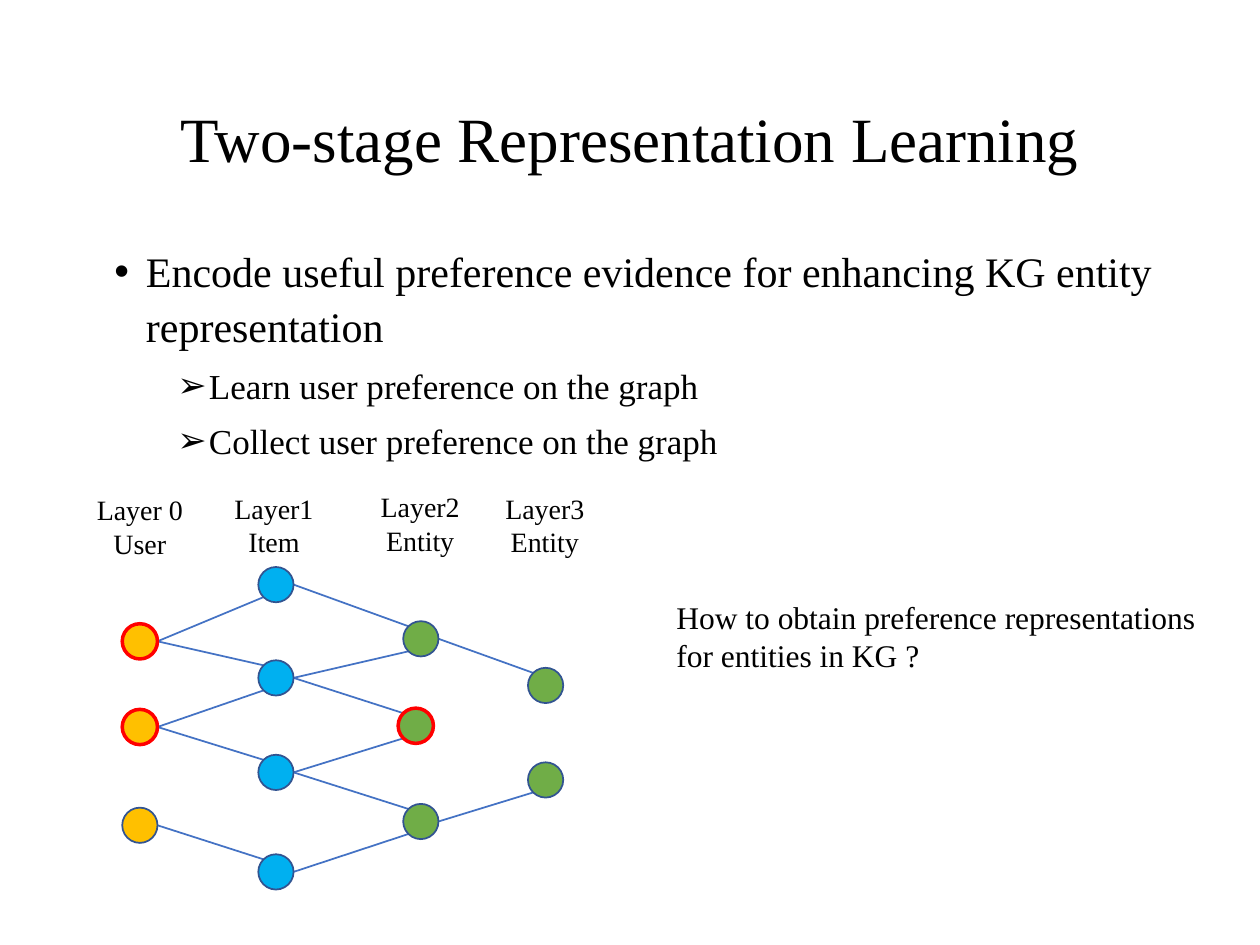
from dataclasses import dataclass

import pptx
import pptx.dml.color
import pptx.enum.shapes
import pptx.enum.text
import pptx.oxml.ns
import pptx.util
from lxml import etree

ALIGN = pptx.enum.text.PP_ALIGN
ANCHOR = pptx.enum.text.MSO_ANCHOR


@dataclass(frozen=True)
class Theme:
    font: str = "Times New Roman"
    text: str = "000000"
    edge: str = "4472C4"
    outline: str = "325491"
    highlight: str = "FF0000"
    user: str = "FFC000"
    item: str = "00B0F0"
    entity: str = "70AD47"
    title_size: int = 36
    bullet_size: int = 24
    detail_size: int = 20
    note_size: int = 18
    label_size: int = 16
    line_width: int = 1
    highlight_width: int = 2


class SlideBuilder:
    COLUMNS = 100
    ROWS = 75
    DIAMETER = 2.8
    DIAGONAL_INSET = 0.4

    def __init__(self, presentation, theme):
        self.theme = theme
        self.slide = presentation.slides.add_slide(presentation.slide_layouts[6])
        self.column = presentation.slide_width / self.COLUMNS
        self.row = presentation.slide_height / self.ROWS

    def place(self, left, top, width, height):
        return (round(left * self.column), round(top * self.row),
                round(width * self.column), round(height * self.row))

    def color(self, value):
        return pptx.dml.color.RGBColor.from_string(value)

    def style(self, paragraph, size, align=ALIGN.LEFT):
        paragraph.alignment = align
        for run in paragraph.runs:
            run.font.name = self.theme.font
            run.font.size = pptx.util.Pt(size)
            run.font.color.rgb = self.color(self.theme.text)

    def text(self, area, content, size, align=ALIGN.LEFT, anchor=ANCHOR.TOP, spacing=1):
        shape = self.slide.shapes.add_textbox(*self.place(*area))
        frame = shape.text_frame
        frame.word_wrap = True
        frame.vertical_anchor = anchor
        frame.text = content
        for paragraph in frame.paragraphs:
            paragraph.line_spacing = spacing
            self.style(paragraph, size, align)
        return frame

    def bullets(self, area, heading, details):
        theme = self.theme
        frame = self.text(area, "\n".join([heading, *details]), theme.detail_size, spacing=1.1)
        self.bullet(frame.paragraphs[0], "•", 0.25)
        self.style(frame.paragraphs[0], theme.bullet_size)
        for paragraph in frame.paragraphs[1:]:
            paragraph.level = 1
            paragraph.space_before = pptx.util.Pt(5)
            self.bullet(paragraph, "➢", 0.75)

    def bullet(self, paragraph, character, indent):
        properties = paragraph._p.get_or_add_pPr()
        properties.set("marL", str(pptx.util.Inches(indent)))
        properties.set("indent", str(pptx.util.Inches(-0.25)))
        font = etree.SubElement(properties, pptx.oxml.ns.qn("a:buFont"))
        font.set("typeface", "Arial")
        mark = etree.SubElement(properties, pptx.oxml.ns.qn("a:buChar"))
        mark.set("char", character)

    def node(self, position, fill, highlighted=False):
        theme = self.theme
        shape = self.slide.shapes.add_shape(
            pptx.enum.shapes.MSO_SHAPE.OVAL,
            *self.place(*position, self.DIAMETER, self.DIAMETER))
        shape.shadow.inherit = False
        shape.fill.solid()
        shape.fill.fore_color.rgb = self.color(fill)
        shape.line.color.rgb = self.color(theme.highlight if highlighted else theme.outline)
        shape.line.width = pptx.util.Pt(
            theme.highlight_width if highlighted else theme.line_width)

    def edge(self, source, target):
        inset = self.DIAGONAL_INSET
        end_offset = inset if target[1] > source[1] else self.DIAMETER - inset
        connector = self.slide.shapes.add_connector(
            pptx.enum.shapes.MSO_CONNECTOR.STRAIGHT,
            *self.place(source[0] + self.DIAMETER, source[1] + self.DIAMETER / 2,
                        target[0] + inset, target[1] + end_offset))
        connector.line.color.rgb = self.color(self.theme.edge)
        connector.line.width = pptx.util.Pt(self.theme.line_width)
        etree.SubElement(connector._element.spPr, pptx.oxml.ns.qn("a:effectLst"))


def main():
    presentation = pptx.Presentation()
    presentation.slide_width = pptx.util.Inches(10)
    presentation.slide_height = pptx.util.Inches(7.5)
    theme = Theme()
    builder = SlideBuilder(presentation, theme)

    builder.text((6.9, 4, 86.2, 14.5), "Two-stage Representation Learning",
                 theme.title_size, ALIGN.CENTER, ANCHOR.MIDDLE, 0.9)
    builder.bullets(
        (8.1, 18.6, 90.1, 19),
        "Encode useful preference evidence for enhancing KG entity representation",
        ["Learn user preference on the graph", "Collect user preference on the graph"])
    builder.text((52.7, 47, 45.6, 7.1),
                 "How to obtain preference representations for entities in KG ?",
                 theme.note_size)

    layer_labels = [
        ("Layer 0\nUser", 5.9, 38.6, 10.4),
        ("Layer1\nItem", 17.1, 38.5, 9.3),
        ("Layer2\nEntity", 28.7, 38.4, 9.3),
        ("Layer3\nEntity", 38.6, 38.5, 9.3),
    ]
    for label, left, top, width in layer_labels:
        builder.text((left, top, width, 6.4), label, theme.label_size, ALIGN.CENTER)

    users = [(9.7, top) for top in (49.5, 56.3, 64.1)]
    items = [(20.5, top) for top in (45, 52.4, 59.9, 67.8)]
    entities = [(32, 49.3), (31.6, 56.2), (32, 63.8)]
    outer_entities = [(41.9, top) for top in (53, 60.5)]
    highlighted = {users[0], users[1], entities[1]}

    links = [
        (users, items, [(0, 0), (0, 1), (1, 1), (1, 2), (2, 3)]),
        (items, entities, [(0, 0), (1, 0), (1, 1), (2, 1), (2, 2), (3, 2)]),
        (entities, outer_entities, [(0, 0), (2, 1)]),
    ]
    for sources, targets, pairs in links:
        for source, target in pairs:
            builder.edge(sources[source], targets[target])

    layers = [(users, theme.user), (items, theme.item),
              (entities + outer_entities, theme.entity)]
    for positions, fill in layers:
        for position in positions:
            builder.node(position, fill, position in highlighted)

    presentation.save("out.pptx")


if __name__ == "__main__":
    main()
